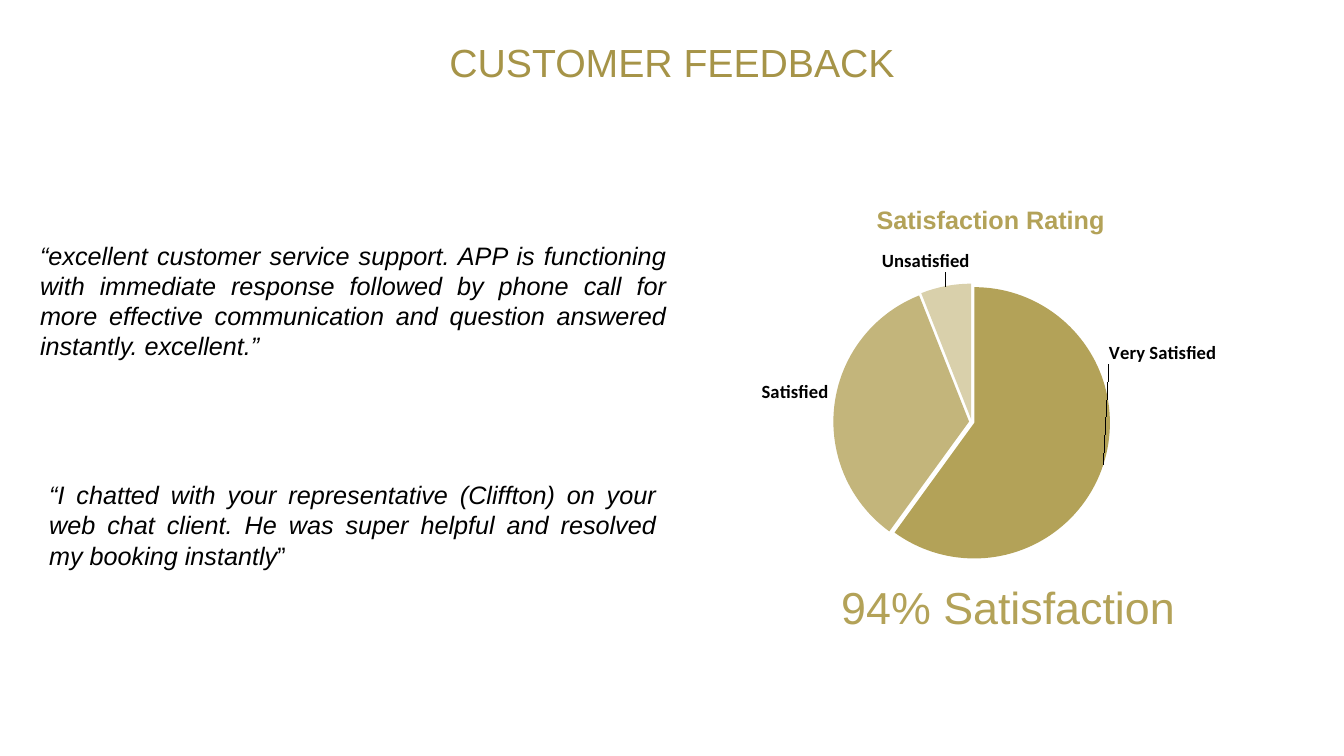
from lxml import etree
from pptx import Presentation
from pptx.chart.data import CategoryChartData
from pptx.dml.color import RGBColor
from pptx.enum.chart import XL_CHART_TYPE, XL_LABEL_POSITION
from pptx.enum.text import MSO_ANCHOR, PP_ALIGN
from pptx.oxml import parse_xml
from pptx.oxml.ns import nsdecls, qn
from pptx.util import Cm, Pt

LEFT, CENTER, JUSTIFY = PP_ALIGN.LEFT, PP_ALIGN.CENTER, PP_ALIGN.JUSTIFY
TOP, MIDDLE = MSO_ANCHOR.TOP, MSO_ANCHOR.MIDDLE
PIE, OUTSIDE_END = XL_CHART_TYPE.PIE, XL_LABEL_POSITION.OUTSIDE_END

COLORS = {
    "heading": "A69448", "gold": "B3A258", "text": "000000",
    "Very Satisfied": "B3A258", "Satisfied": "C3B57B", "Unsatisfied": "D9D0AB",
}
RATINGS = {"Very Satisfied": 60, "Satisfied": 34, "Unsatisfied": 6}
LABEL_SHIFTS = {"Very Satisfied": (0, -0.32), "Unsatisfied": (0.04, -0.02)}
PIE_AREA = {"x": 0.25, "y": 0.25, "w": 0.44, "h": 0.71}

QUOTES = [
    ((0.76, 5.92, 16.28, 3.33),
     [("“excellent customer service support. APP is functioning with immediate "
       "response followed by phone call for more effective communication and "
       "question answered instantly. excellent.”", True)]),
    ((0.99, 11.96, 15.8, 2.57),
     [("“I chatted with your representative (Cliffton) on your web chat client. "
       "He was super helpful and resolved my booking instantly", True),
      ("”", False)]),
]


def format_font(font, color, **values):
    for name, value in values.items():
        setattr(font, name, value)
    font.color.rgb = RGBColor.from_string(COLORS[color])


def add_text(slide, box, runs, size, color, alignment=LEFT, anchor=TOP):
    """Place one paragraph of (text, italic) runs in a box given in cm."""
    frame = slide.shapes.add_textbox(*map(Cm, box)).text_frame
    frame.word_wrap = True
    frame.vertical_anchor = anchor
    paragraph = frame.paragraphs[0]
    paragraph.alignment = alignment
    for text, italic in runs:
        run = paragraph.add_run()
        run.text = text
        format_font(run.font, color, name="Arial", size=Pt(size), italic=italic)


def layout_xml(values, target=""):
    """Return a manual chart layout with the given fractions."""
    parts = "".join(f'<c:{key} val="{value}"/>' for key, value in values.items())
    return f"<c:layout {nsdecls('c')}><c:manualLayout>{target}{parts}</c:manualLayout></c:layout>"


def shift_label(labels, index, shift):
    """Move the label of one slice by fractions of the chart size."""
    flags = "".join(
        f'<c:{name} val="{int(name == "showCatName")}"/>'
        for name in ("showLegendKey", "showVal", "showCatName",
                     "showSerName", "showPercent", "showBubbleSize"))
    layout = layout_xml(dict(zip("xy", shift)))
    return parse_xml(
        f'<c:dLbl {nsdecls("c")}><c:idx val="{index}"/>{layout}'
        f'<c:dLblPos val="outEnd"/>{flags}</c:dLbl>')


def add_rating_chart(slide, box):
    data = CategoryChartData()
    data.categories = list(RATINGS)
    data.add_series("Series 1", list(RATINGS.values()))
    chart = slide.shapes.add_chart(PIE, *map(Cm, box), data).chart
    chart.has_legend = False
    format_font(chart.font, "text", name="Calibri", size=Pt(10))

    chart.has_title = True
    chart.chart_title.include_in_layout = False
    title = chart.chart_title.text_frame
    title.text = "Satisfaction Rating"
    format_font(title.paragraphs[0].runs[0].font, "gold",
                name="Arial", size=Pt(18), bold=True)

    plot = chart.plots[0]
    plot.vary_by_categories = True
    series = plot.series[0]
    explosion = etree.Element(qn("c:explosion"), val="2")
    series._element.find(qn("c:tx")).addnext(explosion)
    for index, name in enumerate(RATINGS):
        fill = series.points[index].format.fill
        fill.solid()
        fill.fore_color.rgb = RGBColor.from_string(COLORS[name])

    labels = series.data_labels
    for name, value in {"show_category_name": True, "show_value": False,
                        "position": OUTSIDE_END}.items():
        setattr(labels, name, value)
    format_font(labels.font, "text", name="Calibri", size=Pt(13.3), bold=True)
    shifted = [shift_label(labels, list(RATINGS).index(name), shift)
               for name, shift in LABEL_SHIFTS.items()]
    for label in reversed(shifted):
        labels._element.insert(0, label)

    plot_area = chart._chartSpace.chart.plotArea
    for layout in plot_area.findall(qn("c:layout")):
        plot_area.remove(layout)
    modes = {"xMode": "edge", "yMode": "edge"}
    target = '<c:layoutTarget val="inner"/>'
    plot_area.insert(0, parse_xml(layout_xml(modes | PIE_AREA, target)))


def add_quotes(slide):
    for box, runs in QUOTES:
        add_text(slide, box, runs, 18, "text", JUSTIFY)


def add_rating(slide, left, top, width):
    """Place the pie chart with the overall result below it."""
    chart_height = 9.86
    add_rating_chart(slide, (left, top, width, chart_height))
    add_text(slide, (left + 3.91, top + chart_height - 0.05, 8.99, 1.63),
             [("94% Satisfaction", False)], 32, "gold")


def main():
    presentation = Presentation()
    presentation.slide_width, presentation.slide_height = Cm(33.87), Cm(19.05)
    slide = presentation.slides.add_slide(presentation.slide_layouts[6])
    add_text(slide, (2.33, 0.23, 29.21, 2.67), [("CUSTOMER FEEDBACK", False)],
             28, "heading", CENTER, MIDDLE)
    add_rating(slide, 17.04, 4.67, 15.85)
    add_quotes(slide)
    presentation.save("out.pptx")


if __name__ == "__main__":
    main()
